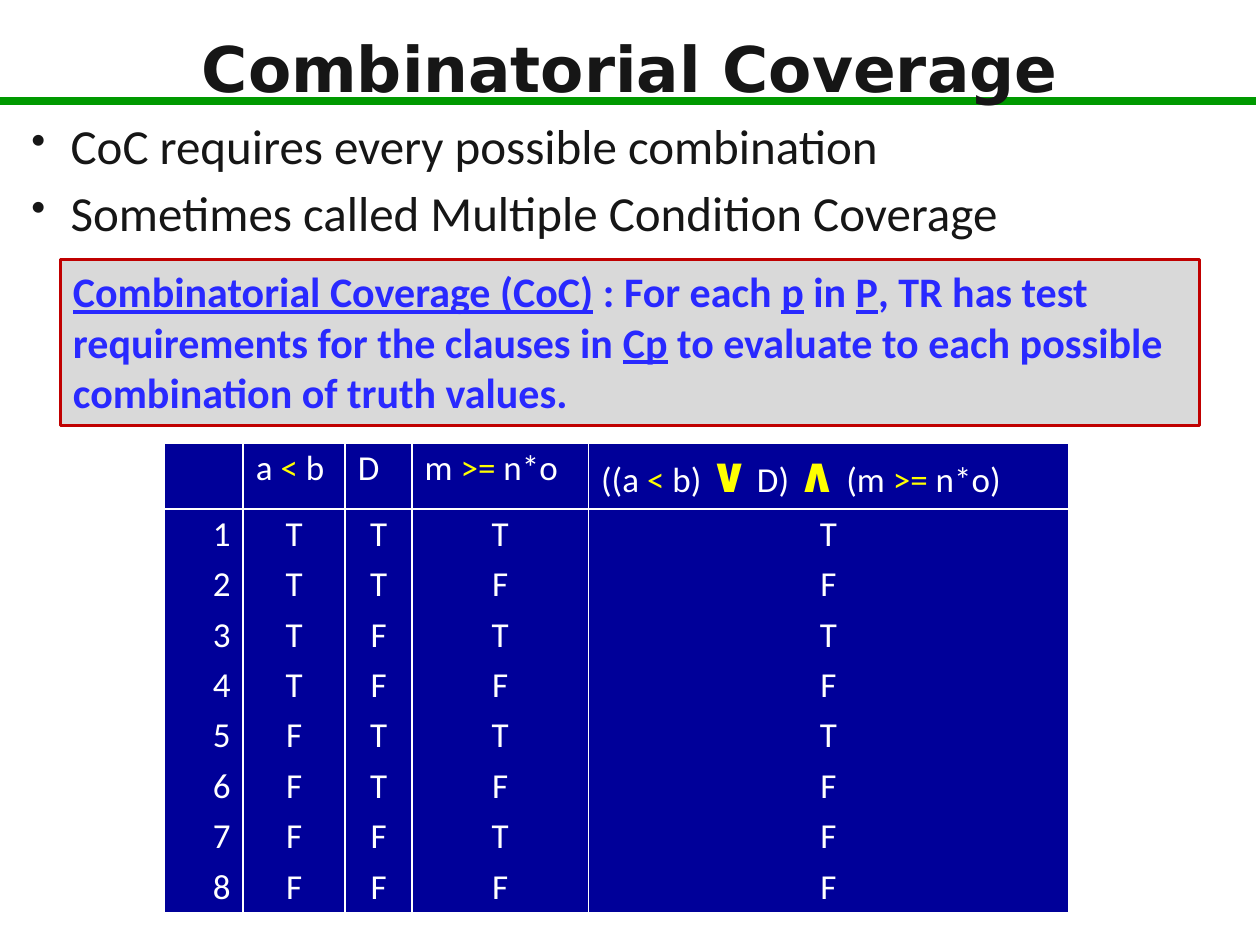
from dataclasses import dataclass
from itertools import product
from typing import Optional

from lxml import etree
from pptx import Presentation
from pptx.dml.color import RGBColor
from pptx.enum import shapes, text
from pptx.oxml import ns
from pptx.util import Pt

INK, WHITE, YELLOW, NAVY = "161616", "FFFFFF", "FFFF00", "000099"
ALIGN = text.PP_ALIGN


@dataclass(frozen=True)
class Style:
    size: float
    color: str
    font: str = "Calibri"
    bold: bool = False
    align: text.PP_ALIGN = ALIGN.LEFT
    line_spacing: float = 0.9
    before: float = 0


@dataclass(frozen=True)
class Span:
    """A piece of text; fields left as None follow the paragraph."""
    words: str
    color: Optional[str] = None
    size: Optional[float] = None
    bold: Optional[bool] = None
    underline: Optional[bool] = None


def rgb(value: str) -> RGBColor:
    return RGBColor.from_string(value)


def write(para, style: Style, *spans: Span) -> None:
    para.alignment = style.align
    para.line_spacing = style.line_spacing
    para.space_before = Pt(style.before)
    para.font.name = style.font
    para.font.size = Pt(style.size)
    para.font.bold = style.bold
    para.font.color.rgb = rgb(style.color)
    for span in spans:
        run = para.add_run()
        run.text = span.words
        if span.color:
            run.font.color.rgb = rgb(span.color)
        if span.size:
            run.font.size = Pt(span.size)
        if span.bold is not None:
            run.font.bold = span.bold
        if span.underline is not None:
            run.font.underline = span.underline


def add_text_box(page, left: float, top: float, width: float, height: float):
    box = page.shapes.add_textbox(Pt(left), Pt(top), Pt(width), Pt(height))
    box.text_frame.word_wrap = True
    return box.text_frame


def add_bullet(para) -> None:
    props = para._p.get_or_add_pPr()
    props.set("marL", str(Pt(22.5)))
    props.set("indent", str(-Pt(22.5)))
    etree.SubElement(props, ns.qn("a:buSzPct"), val="85000")
    etree.SubElement(props, ns.qn("a:buChar"), char="•")


def paint_cell(cell, sides: str) -> None:
    """Fill a cell and draw white borders on the given sides (L, R, T, B)."""
    props = cell._tc.get_or_add_tcPr()
    for side in "LRTB":
        line = etree.SubElement(props, ns.qn(f"a:ln{side}"), w=str(Pt(1)))
        if side in sides:
            fill = etree.SubElement(line, ns.qn("a:solidFill"))
            etree.SubElement(fill, ns.qn("a:srgbClr"), val=WHITE)
        else:
            etree.SubElement(line, ns.qn("a:noFill"))
    cell.fill.solid()
    cell.fill.fore_color.rgb = rgb(NAVY)


def add_truth_table(page) -> None:
    less, at_least = Span("<", YELLOW), Span(">=", YELLOW)
    header = [
        [],
        [Span("a "), less, Span(" b")],
        [Span("D")],
        [Span("m "), at_least, Span(" n*o")],
        [Span("((a "), less, Span(" b) "), Span("∨", YELLOW, 28, True),
         Span(" D) "), Span("∧", YELLOW, 28, True), Span(" ", YELLOW, 24),
         Span("(m "), at_least, Span(" n*o)")],
    ]
    rows = [header]
    for number, (a, d, m) in enumerate(product((True, False), repeat=3), 1):
        values = ["FT"[value] for value in (a, d, m, (a or d) and m)]
        rows.append([[Span(words)] for words in (str(number), *values)])

    widths = [45.4, 58.3, 38.2, 100.8, 274.3]
    frame = page.shapes.add_table(len(rows), len(widths), Pt(93.6), Pt(253.4),
                                  Pt(sum(widths)), Pt(267.8))
    table = frame.table
    table.first_row = table.horz_banding = False
    for column, width in zip(table.columns, widths):
        column.width = Pt(width)

    last = len(rows) - 1
    edges = {0: "TB", 1: "T", last: "B"}
    for i, row in enumerate(rows):
        table.rows[i].height = Pt(28.8 if i else 33.1)
        for j, spans in enumerate(row):
            cell = table.cell(i, j)
            paint_cell(cell, "LR" + edges.get(i, ""))
            align = ALIGN.LEFT if i == 0 else ALIGN.CENTER if j else ALIGN.RIGHT
            write(cell.text_frame.paragraphs[0],
                  Style(20, WHITE, align=align, before=6), *spans)


def main() -> None:
    deck = Presentation()
    deck.slide_width, deck.slide_height = Pt(720), Pt(540)
    page = deck.slides.add_slide(deck.slide_layouts[6])

    # Green rule behind the title
    rule = page.shapes.add_connector(shapes.MSO_CONNECTOR.STRAIGHT,
                                     Pt(0), Pt(57.6), Pt(718), Pt(57.6))
    rule.line.color.rgb = rgb("009900")
    rule.line.width = Pt(4.5)
    etree.SubElement(rule._element.spPr, ns.qn("a:effectLst"))

    # Title
    title = add_text_box(page, 0, 3.6, 720, 74.9)
    title.vertical_anchor = text.MSO_ANCHOR.MIDDLE
    write(title.paragraphs[0],
          Style(36, INK, "DejaVu Sans", True, ALIGN.CENTER),
          Span("Combinatorial Coverage"))

    # Bullets
    body = add_text_box(page, 10.8, 66.2, 670.3, 72)
    points = ("CoC requires every possible combination",
              "Sometimes called Multiple Condition Coverage")
    for i, words in enumerate(points):
        para = body.add_paragraph() if i else body.paragraphs[0]
        add_bullet(para)
        write(para, Style(28, INK, before=8.4), Span(words))

    # Definition
    box = page.shapes.add_shape(shapes.MSO_SHAPE.RECTANGLE,
                                Pt(34.6), Pt(148.3), Pt(650.9), Pt(95))
    box.shadow.inherit = False
    box.fill.solid()
    box.fill.fore_color.rgb = rgb("D9D9D9")
    box.line.color.rgb = rgb("C00000")
    box.line.width = Pt(1.5)
    box.text_frame.word_wrap = True
    box.text_frame.vertical_anchor = text.MSO_ANCHOR.TOP
    write(box.text_frame.paragraphs[0],
          Style(24, "2929FF", bold=True, line_spacing=1.0, before=12),
          Span("Combinatorial Coverage (CoC)", underline=True),
          Span(" : For each "), Span("p", underline=True),
          Span(" in "), Span("P", underline=True),
          Span(", TR has test requirements for the clauses in "),
          Span("Cp", underline=True),
          Span(" to evaluate to each possible combination of truth values."))

    # Truth table
    add_truth_table(page)

    deck.save("out.pptx")


if __name__ == "__main__":
    main()
